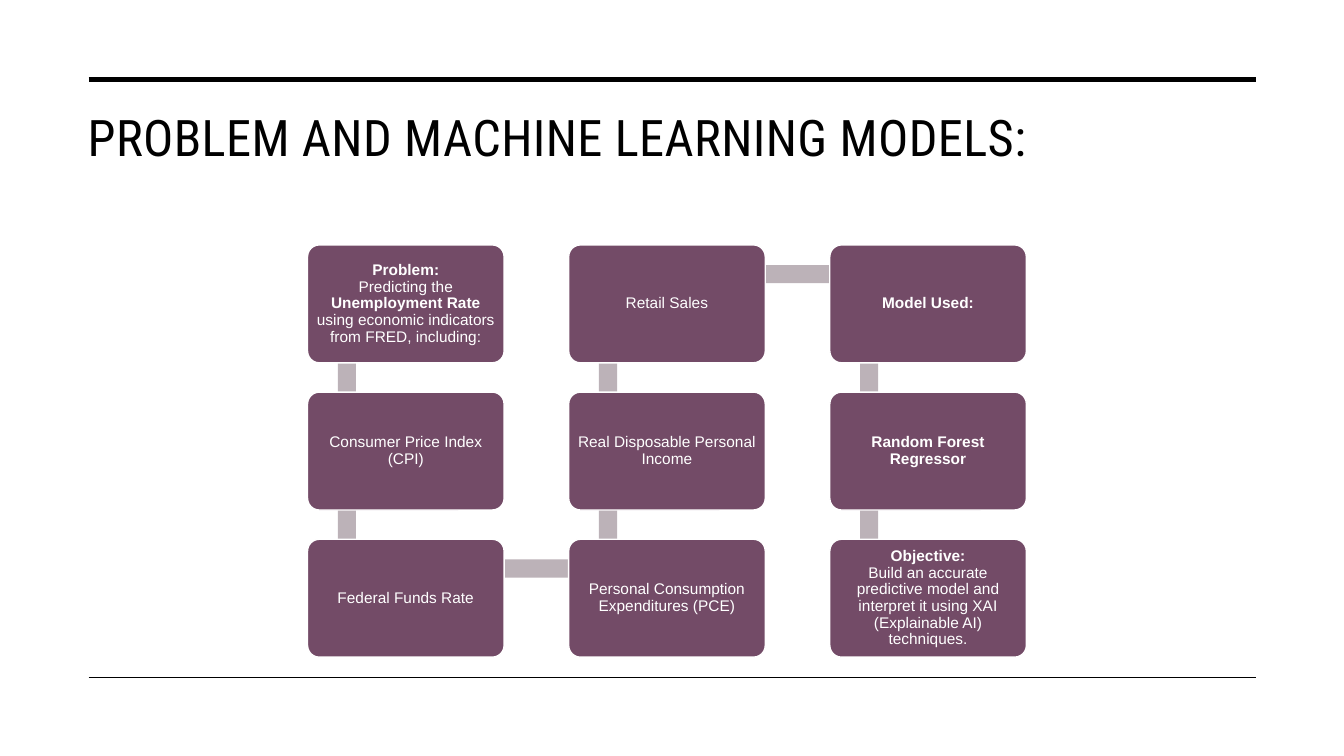
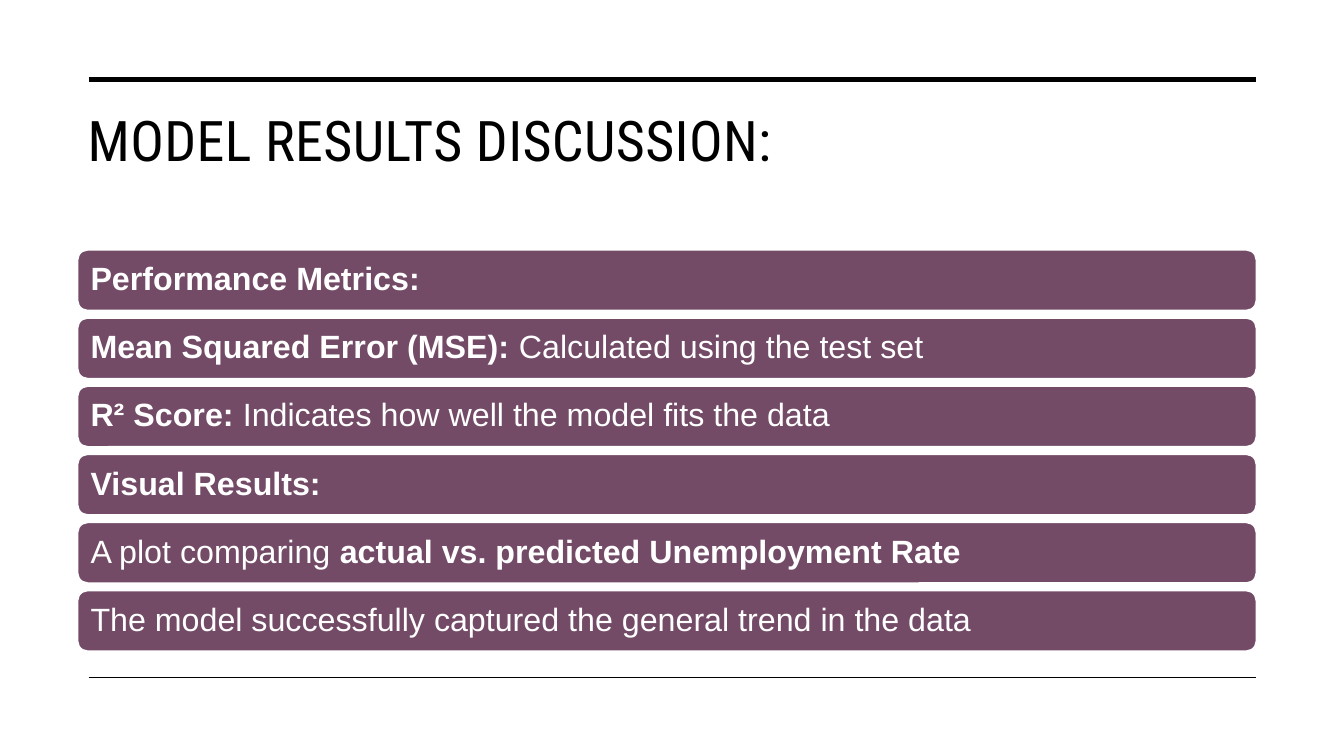
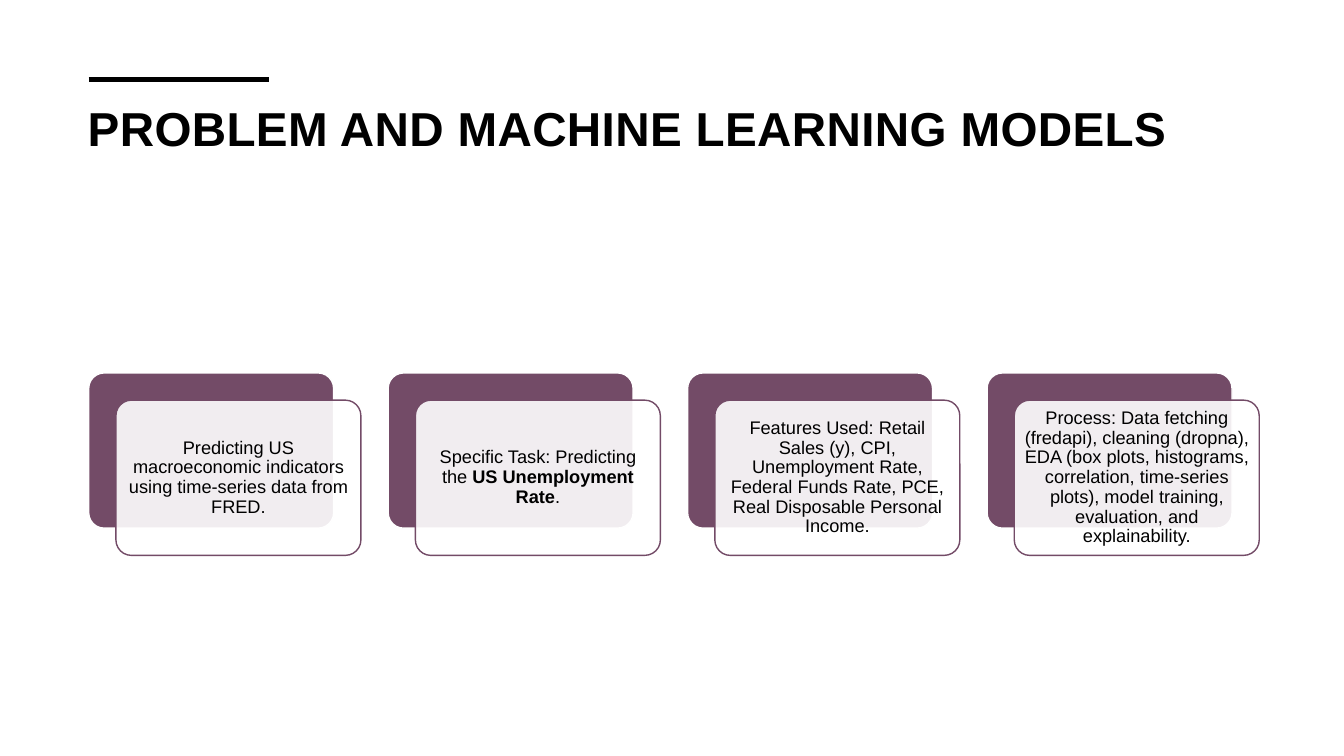
"""Builds three slides on predicting the unemployment rate."""
import itertools

import lxml.etree
import pptx
import pptx.dml.color
import pptx.enum.shapes
import pptx.enum.text
import pptx.oxml.ns
import pptx.util

Inches = pptx.util.Inches
Pt = pptx.util.Pt
SHAPE = pptx.enum.shapes.MSO_SHAPE
ALIGN = pptx.enum.text.PP_ALIGN
ANCHOR = pptx.enum.text.MSO_ANCHOR

BLACK = pptx.dml.color.RGBColor(0x00, 0x00, 0x00)
WHITE = pptx.dml.color.RGBColor(0xFF, 0xFF, 0xFF)
PLUM = pptx.dml.color.RGBColor(0x73, 0x4B, 0x67)
MAUVE = pptx.dml.color.RGBColor(0xBC, 0xB2, 0xB8)

BODY_FONT = "Arial"
TITLE_FONT = "Roboto Condensed"
LEFT, RIGHT = 0.88, 12.46
TOP_RULE, BOTTOM_RULE = 0.79, 6.72

STEPS = [
    ["**Problem:**", "Predicting the **Unemployment Rate** using economic indicators from FRED, including:"],
    ["Consumer Price Index (CPI)"],
    ["Federal Funds Rate"],
    ["Personal Consumption Expenditures (PCE)"],
    ["Real Disposable Personal Income"],
    ["Retail Sales"],
    ["**Model Used:**"],
    ["**Random Forest Regressor**"],
    ["**Objective:**", "Build an accurate predictive model and interpret it using XAI (Explainable AI) techniques."],
]
RESULTS = [
    "**Performance Metrics:**",
    "**Mean Squared Error (MSE):** Calculated using the test set",
    "**R² Score:** Indicates how well the model fits the data",
    "**Visual Results:**",
    "A plot comparing **actual vs. predicted Unemployment Rate**",
    "The model successfully captured the general trend in the data",
]
CARDS = [
    "Predicting US macroeconomic indicators using time-series data from FRED.",
    "Specific Task: Predicting the **US Unemployment Rate**.",
    "Features Used: Retail Sales (y), CPI, Unemployment Rate, Federal Funds Rate, PCE, "
    "Real Disposable Personal Income.",
    "Process: Data fetching (fredapi), cleaning (dropna), EDA (box plots, histograms, correlation, "
    "time-series plots), model training, evaluation, and explainability.",
]


def add_rule(page, right, top, weight):
    """Draw a black horizontal rule from the left margin."""
    rule = page.shapes.add_connector(
        pptx.enum.shapes.MSO_CONNECTOR.STRAIGHT,
        Inches(LEFT), Inches(top), Inches(right), Inches(top))
    rule.line.color.rgb = BLACK
    rule.line.width = Pt(weight)
    properties = rule._element.spPr
    lxml.etree.SubElement(properties, pptx.oxml.ns.qn("a:effectLst"))


def add_page(deck, text, size, font=TITLE_FONT, bold=False, rule_right=RIGHT, line_spacing=1.0):
    """Add a slide with its title and the rule above it."""
    page = deck.slides.add_slide(deck.slide_layouts[5])
    add_rule(page, rule_right, TOP_RULE, 3.5)
    title = page.shapes.title
    title.left, title.top, title.width, title.height = map(Inches, (0.77, 1, 11.69, 1.43))
    frame = title.text_frame
    frame.text = text
    frame.word_wrap = True
    frame.auto_size = pptx.enum.text.MSO_AUTO_SIZE.NONE
    frame.vertical_anchor = ANCHOR.TOP
    para = frame.paragraphs[0]
    para.alignment = ALIGN.LEFT
    para.line_spacing = line_spacing
    span = para.runs[0]
    span.font.name, span.font.size, span.font.bold = font, Pt(size), bold
    span.font.color.rgb = BLACK
    span._r.get_or_add_rPr().set("spc", "30")
    return page


def add_box(page, place, fill, line=None, kind=SHAPE.ROUNDED_RECTANGLE, corner=None):
    """Draw a filled shape with an optional one-point outline."""
    box = page.shapes.add_shape(kind, *map(Inches, place))
    box.shadow.inherit = False
    box.fill.solid()
    box.fill.fore_color.rgb = fill
    if line is None:
        box.line.fill.background()
    else:
        box.line.color.rgb = line
        box.line.width = Pt(1)
    if corner is not None:
        box.adjustments[0] = corner
    return box


def write(box, lines, size, color, inset, alignment=ALIGN.CENTER):
    """Fill a box with paragraphs in which ** marks bold spans."""
    frame = box.text_frame
    frame.word_wrap = True
    frame.vertical_anchor = ANCHOR.MIDDLE
    frame.margin_left = frame.margin_top = frame.margin_right = frame.margin_bottom = Inches(inset)
    for number, line in enumerate(lines):
        para = frame.add_paragraph() if number else frame.paragraphs[0]
        para.alignment = alignment
        para.line_spacing = 0.9
        for position, text in enumerate(line.split("**")):
            if text:
                span = para.add_run()
                span.text = text
                span.font.name, span.font.size = BODY_FONT, Pt(size)
                span.font.bold = position % 2 == 1
                span.font.color.rgb = color


def set_opacity(box, percent):
    """Make the solid fill of a box partly transparent."""
    color = box._element.spPr.find(".//" + pptx.oxml.ns.qn("a:srgbClr"))
    lxml.etree.SubElement(color, pptx.oxml.ns.qn("a:alpha")).set("val", str(percent * 1000))


def add_snake(page):
    """Draw the steps down, up and down three columns, linked by bars."""
    column_step, row_step, bar = 2.59, 1.46, 0.18
    places = []
    for number in range(len(STEPS)):
        column, row = divmod(number, 3)
        if column % 2:
            row = 2 - row
        places.append((3.05 + column * column_step, 2.43 + row * row_step))
    for (left, top), (next_left, next_top) in itertools.pairwise(places):
        if left == next_left:
            place = (left + 0.3, min(top, next_top) + 0.3, bar, row_step)
        else:
            place = (left + 0.4, top + 0.2, column_step, bar)
        add_box(page, place, MAUVE, kind=SHAPE.RECTANGLE)
    for lines, (left, top) in zip(STEPS, places):
        box = add_box(page, (left, top, 1.95, 1.17), PLUM, WHITE, corner=0.1)
        write(box, lines, 11, WHITE, 0.05)


def add_bands(page):
    """Stack the results as full-width bands."""
    first, last = 2.48, 5.86
    step = (last - first) / (len(RESULTS) - 1)
    for number, line in enumerate(RESULTS):
        box = add_box(page, (0.77, first + number * step, 11.69, 0.6), PLUM, WHITE)
        write(box, [line], 23, WHITE, 0.1, ALIGN.LEFT)


def add_cards(page):
    """Draw a row of translucent cards, each over a plum backing."""
    width, height, offset = 2.43, 1.54, 0.27
    for number, line in enumerate(CARDS):
        left, top = LEFT + number * 2.97, 3.7
        add_box(page, (left, top, width, height), PLUM, WHITE, corner=0.1)
        card = add_box(page, (left + offset, top + offset, width, height), WHITE, PLUM, corner=0.1)
        set_opacity(card, 90)
        write(card, [line], 13, BLACK, 0.05)


def main():
    """Build and save the deck."""
    deck = pptx.Presentation()
    deck.slide_width, deck.slide_height = Inches(13.33), Inches(7.5)

    page = add_page(deck, "PROBLEM AND MACHINE LEARNING MODELS:", 36)
    add_rule(page, RIGHT, BOTTOM_RULE, 1)
    add_snake(page)

    page = add_page(deck, "MODEL RESULTS DISCUSSION:", 40)
    add_rule(page, RIGHT, BOTTOM_RULE, 1)
    add_bands(page)

    page = add_page(deck, "PROBLEM AND MACHINE LEARNING MODELS", 34, BODY_FONT, True, 2.67, 0.9)
    add_cards(page)

    deck.save("out.pptx")


if __name__ == "__main__":
    main()
